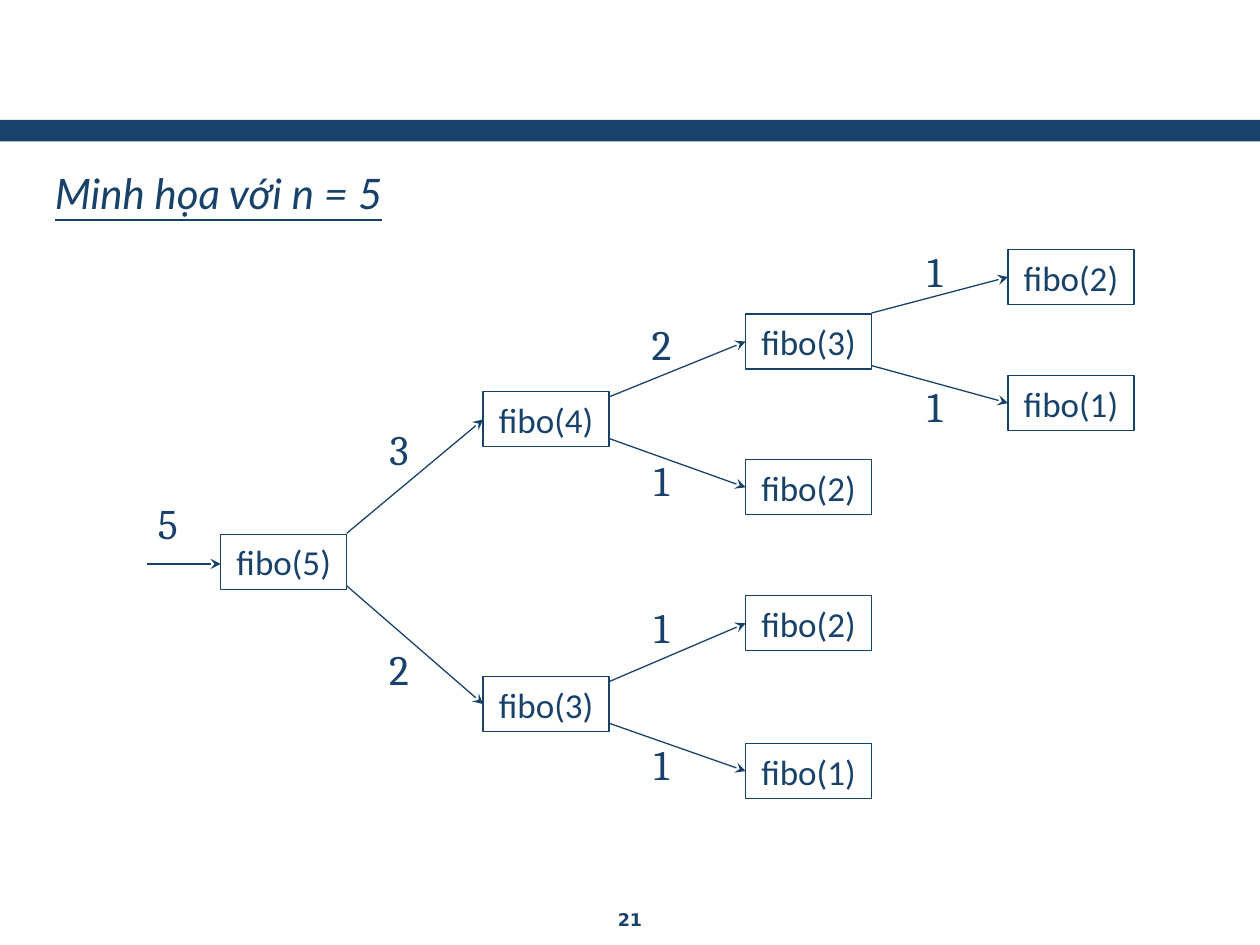
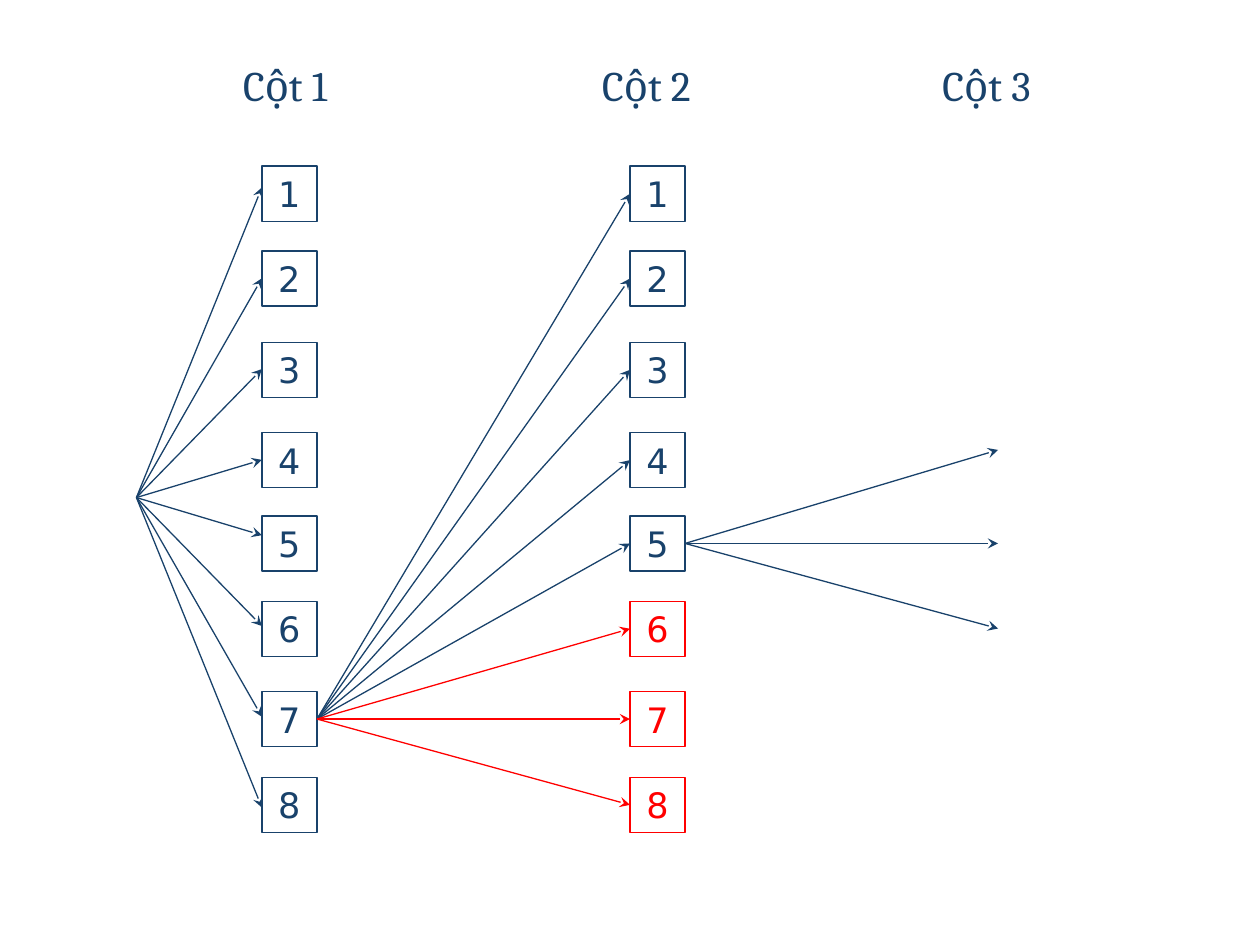
import pptx
import pptx.util
import pptx.dml.color
import pptx.enum.shapes
import pptx.enum.text
import pptx.oxml.ns
from lxml import etree

Cm, Pt = pptx.util.Cm, pptx.util.Pt
SHAPE = pptx.enum.shapes.MSO_SHAPE
ALIGN = pptx.enum.text.PP_ALIGN
ANCHOR = pptx.enum.text.MSO_ANCHOR
qn = pptx.oxml.ns.qn

NAVY = pptx.dml.color.RGBColor(0x19, 0x42, 0x6B)
RED = pptx.dml.color.RGBColor(0xFF, 0x00, 0x00)

# Call tree: (n, box top, value top, calls), in cm from the top of the tree
CALLS = (5, 5.74, 4.88, [
    (4, 2.87, 3.38, [
        (3, 1.3, 1.27, [(2, 0, -0.2, []), (1, 2.54, 2.51, [])]),
        (2, 4.24, 4.01, [])]),
    (3, 8.61, 7.82, [(2, 6.98, 6.98, []), (1, 9.96, 9.73, [])])])
CALL_W, BOX_H, CALL_STEP = 2.54, 1.11, 5.29
# Per tree level: where the two arrows leave the box, and the gap to the value
EXITS = [(-0.02, 1.04), (0.1, 0.94), (-0.02, 1.04)]
VALUE_GAPS = [0.42, 0.42, 0.64]

# Row tops of the queen columns, in cm from the top of the column
ROWS = [0, 1.71, 3.55, 5.37, 7.05, 8.77, 10.59, 12.32]


# Shared parts
def set_text(shape, text, size, font, color=NAVY, align=ALIGN.CENTER, anchor=ANCHOR.TOP):
    tf = shape.text_frame
    tf.word_wrap = True
    tf.auto_size = pptx.enum.text.MSO_AUTO_SIZE.NONE
    tf.vertical_anchor = anchor
    p = tf.paragraphs[0]
    p.text = text
    p.alignment = align
    p.font.size = Pt(size)
    p.font.name = font
    p.font.color.rgb = color
    return p


def add_label(s, x, y, w, h, text, size=24, font="Cambria", align=ALIGN.CENTER):
    tb = s.shapes.add_textbox(Cm(x), Cm(y), Cm(w), Cm(h))
    return set_text(tb, text, size, font, align=align)


def add_box(s, x, y, w, text, font, color=NAVY):
    sp = s.shapes.add_shape(SHAPE.RECTANGLE, Cm(x), Cm(y), Cm(w), Cm(BOX_H))
    sp.shadow.inherit = False
    sp.fill.background()
    sp.line.color.rgb = color
    sp.line.width = Pt(0.75)
    set_text(sp, text, 20, font, color, anchor=ANCHOR.MIDDLE)


def add_arrow(s, x1, y1, x2, y2, color=NAVY):
    cn = s.shapes.add_connector(pptx.enum.shapes.MSO_CONNECTOR.STRAIGHT,
                                Cm(x1), Cm(y1), Cm(x2), Cm(y2))
    cn.line.color.rgb = color
    cn.line.width = Pt(0.75)
    etree.SubElement(cn.line._get_or_add_ln(), qn("a:tailEnd"), type="stealth")
    etree.SubElement(cn._element.spPr, qn("a:effectLst"))


def add_frame(s, title, number):
    band = s.shapes.add_shape(SHAPE.RECTANGLE, 0, Cm(2.42), Cm(25.4), Cm(0.43))
    band.shadow.inherit = False
    band.fill.solid()
    band.fill.fore_color.rgb = NAVY
    band.line.fill.background()
    sp = s.shapes.title
    sp.left, sp.top, sp.width, sp.height = Cm(0.85), Cm(3.25), Cm(8.46), Cm(1.47)
    p = set_text(sp, title, 24, "Lato", align=ALIGN.LEFT)
    p.font.italic = p.font.underline = True
    p = add_label(s, 9.74, 18.2, 5.92, 0.66, number, 10, "DejaVu Sans")
    p.font.bold = True


# Fibonacci call tree
def fibo(n):
    return n if n < 2 else fibo(n - 1) + fibo(n - 2)


def draw_call(s, left, top, call, level=0):
    n, y, _, calls = call
    x = left + level * CALL_STEP
    right = x + CALL_W
    add_box(s, x, top + y, CALL_W, f"fibo({n})", "Calibri")
    for i, child in enumerate(calls):
        m, child_y, value_y, _ = child
        add_arrow(s, right, top + y + EXITS[level][i],
                  x + CALL_STEP, top + child_y + BOX_H / 2)
        add_label(s, right + VALUE_GAPS[level], top + value_y, 1.27, 1.3, str(fibo(m)))
        draw_call(s, left, top, child, level + 1)


def fibo_slide(prs):
    s = prs.slides.add_slide(prs.slide_layouts[5])
    add_frame(s, "Minh họa với n = 5", "21")
    left, top = 4.45, 5.03
    n, y, value_y, _ = CALLS
    add_arrow(s, left - 1.48, top + y + 0.6, left, top + y + 0.6)
    add_label(s, left - 1.7, top + value_y, 1.27, 1.3, str(fibo(n)))
    draw_call(s, left, top, CALLS)


# Queen columns
def draw_column(s, left, top, blocked=()):
    for row, y in enumerate(ROWS, 1):
        add_box(s, left, top + y, BOX_H, str(row), "DejaVu Sans",
                RED if row in blocked else NAVY)


def draw_fan(s, x, y, end_x, ends, blocked=()):
    for row, end_y in enumerate(ends, 1):
        add_arrow(s, x, y, end_x, end_y, RED if row in blocked else NAVY)


def columns_slide(prs):
    s = prs.slides.add_slide(prs.slide_layouts[6])
    for i, x in enumerate([4.65, 11.89, 18.75], 1):
        add_label(s, x, 1.07, 2.75, 1.47, f"Cột {i}", align=ALIGN.LEFT)

    top, col1, col2, col3 = 3.35, 5.28, 12.7, 20.12
    blocked = (6, 7, 8)
    draw_column(s, col1, top)
    draw_column(s, col2, top, blocked)

    # First fan spreads evenly above and below its start
    start_y = 10.03
    reach = [0.76 + 1.83 * k for k in range(4)]
    draw_fan(s, 2.75, start_y, col1,
             [start_y - d for d in reversed(reach)] + [start_y + d for d in reach])
    middles = [top + y + BOX_H / 2 for y in ROWS]
    draw_fan(s, col1 + BOX_H, middles[6], col2, middles, blocked)
    draw_fan(s, col2 + BOX_H, middles[4], col3, [9.07, middles[4], 12.67])


def main():
    prs = pptx.Presentation()
    prs.slide_width, prs.slide_height = Cm(25.4), Cm(19.05)
    fibo_slide(prs)
    columns_slide(prs)
    prs.save("out.pptx")


if __name__ == "__main__":
    main()
